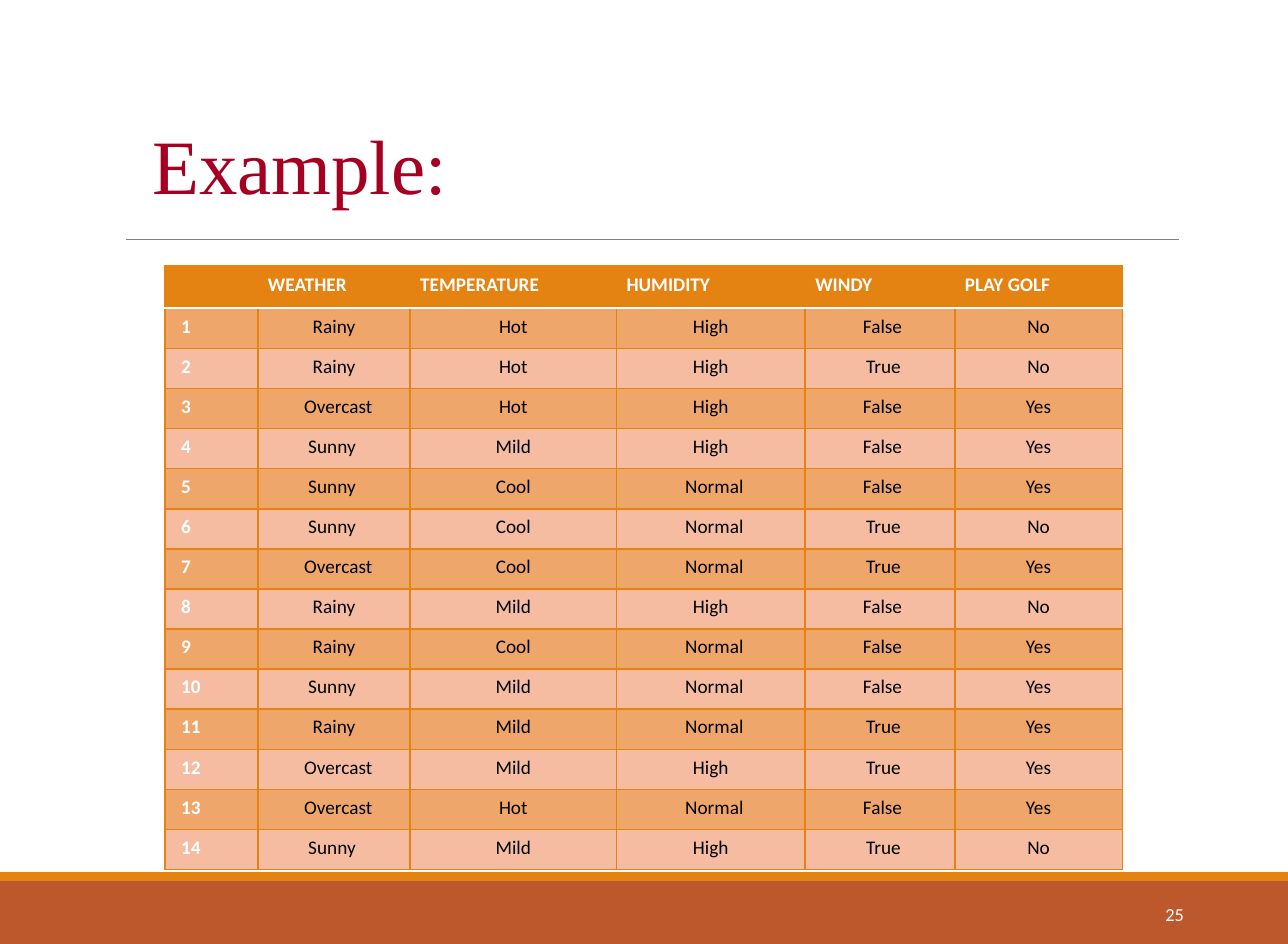
"""Build the weather and golf example table slide."""
from lxml import etree
from pptx import Presentation
from pptx.dml.color import RGBColor
from pptx.enum.shapes import MSO_CONNECTOR, MSO_SHAPE
from pptx.enum.text import MSO_ANCHOR, MSO_AUTO_SIZE, PP_ALIGN
from pptx.oxml.ns import qn
from pptx.util import Inches, Pt

LEFT, CENTER, RIGHT = PP_ALIGN.LEFT, PP_ALIGN.CENTER, PP_ALIGN.RIGHT
TOP, MIDDLE, BOTTOM = MSO_ANCHOR.TOP, MSO_ANCHOR.MIDDLE, MSO_ANCHOR.BOTTOM
RECTANGLE, STRAIGHT, NO_AUTOFIT = MSO_SHAPE.RECTANGLE, MSO_CONNECTOR.STRAIGHT, MSO_AUTO_SIZE.NONE

TITLE = "Example:"
PAGE_NUMBER = "25"
HEADERS = ["", "WEATHER", "TEMPERATURE", "HUMIDITY", "WINDY", "PLAY GOLF"]
DAYS = [
    ("Rainy", "Hot", "High", "False", "No"),
    ("Rainy", "Hot", "High", "True", "No"),
    ("Overcast", "Hot", "High", "False", "Yes"),
    ("Sunny", "Mild", "High", "False", "Yes"),
    ("Sunny", "Cool", "Normal", "False", "Yes"),
    ("Sunny", "Cool", "Normal", "True", "No"),
    ("Overcast", "Cool", "Normal", "True", "Yes"),
    ("Rainy", "Mild", "High", "False", "No"),
    ("Rainy", "Cool", "Normal", "False", "Yes"),
    ("Sunny", "Mild", "Normal", "False", "Yes"),
    ("Rainy", "Mild", "Normal", "True", "Yes"),
    ("Overcast", "Mild", "High", "True", "Yes"),
    ("Overcast", "Hot", "Normal", "False", "Yes"),
    ("Sunny", "Mild", "High", "True", "No"),
]
COLORS = {
    "title": "A50021", "rule": "808080", "footer": "BD582C", "accent": "E48312",
    "odd": "EFA66A", "even": "F5BCA2", "white": "FFFFFF", "black": "000000",
}
BODY_FONT, TITLE_FONT = "Calibri", "Times New Roman"
PAGE_WIDTH, PAGE_HEIGHT = Pt(737), Pt(540)
BARS = [(7, 0.5, "footer"), (6.93, 0.07, "accent")]
COLUMN_WIDTHS = [0.74, 1.21, 1.64, 1.5, 1.19, 1.33]
TABLE_LEFT, TABLE_TOP, TABLE_HEIGHT, HEADER_HEIGHT = 1.31, 2.11, 4.8, 0.34
HEADER_TOP, CELL_TOP = 0.06, 0.05
HEADER_PLACE = (LEFT, 0.08, 0)
NUMBER_PLACE = (LEFT, 0.13, 0)
CENTER_PLACE = (CENTER, 0, 0)
WORD_PLACES = {
    "Sunny": (LEFT, 0.4, 0),
    "Overcast": (RIGHT, 0, 0.3),
    "Normal": (RIGHT, 0, 0.49),
    "False": (RIGHT, 0, 0.42),
    "True": (RIGHT, 0, 0.43),
}


def color(name):
    return RGBColor.from_string(COLORS[name])


def write(frame, text, font, size, tint, align, bold=False):
    para = frame.paragraphs[0]
    para.alignment = align
    span = para.add_run()
    span.text = text
    span.font.name = font
    span.font.size = Pt(size)
    span.font.bold = bold
    span.font.color.rgb = color(tint)


def set_frame(frame, anchor):
    frame.margin_left = frame.margin_right = frame.margin_top = frame.margin_bottom = 0
    frame.word_wrap = True
    frame.auto_size = NO_AUTOFIT
    frame.vertical_anchor = anchor


def add_border(cell, side, position, tint, points):
    line = etree.Element(qn(f"a:ln{side}"), w=str(Pt(points)))
    fill = etree.SubElement(line, qn("a:solidFill"))
    etree.SubElement(fill, qn("a:srgbClr"), val=COLORS[tint])
    cell._tc.get_or_add_tcPr().insert(position, line)


def fill_cell(cell, text, row, place, tint, bold):
    align, left, right = place
    cell.margin_left, cell.margin_right = Inches(left), Inches(right)
    cell.margin_top = cell.margin_bottom = 0
    cell.vertical_anchor = TOP
    cell.fill.solid()
    cell.fill.fore_color.rgb = color("accent" if row == 0 else "odd" if row % 2 else "even")
    for position, side in enumerate("LRTB"):
        under_header = (row, side) in ((0, "B"), (1, "T"))
        add_border(cell, side, position, "white" if under_header else "accent",
                   1.25 if under_header else 1)
    if text:
        cell.margin_top = Inches(CELL_TOP if row else HEADER_TOP)
        write(cell.text_frame, text, BODY_FONT, 11, tint, align, bold)


def add_frame(page):
    for top, height, tint in BARS:
        bar = page.shapes.add_shape(RECTANGLE, 0, Inches(top), PAGE_WIDTH, Inches(height))
        bar.shadow.inherit = False
        bar.fill.solid()
        bar.fill.fore_color.rgb = color(tint)
        bar.line.fill.background()
    rule = page.shapes.add_connector(STRAIGHT, Inches(1), Inches(1.9), Inches(9.37), Inches(1.9))
    rule.line.color.rgb = color("rule")
    rule.line.width = Pt(0.5)
    etree.SubElement(rule._element.spPr, qn("a:effectLst"))


def add_texts(page):
    title = page.shapes.title
    title.left, title.top = Inches(1.2), Inches(0.92)
    title.width, title.height = Inches(3.28), Inches(0.75)
    set_frame(title.text_frame, BOTTOM)
    title.text_frame.margin_left = Inches(0.01)
    write(title.text_frame, TITLE, TITLE_FONT, 44, "title", LEFT)
    number = page.shapes.add_textbox(Inches(8.31), Inches(7.06), Inches(1.1), Inches(0.4))
    set_frame(number.text_frame, MIDDLE)
    write(number.text_frame, PAGE_NUMBER, BODY_FONT, 10.5, "white", RIGHT)


def add_days(page):
    table = page.shapes.add_table(
        len(DAYS) + 1, len(HEADERS), Inches(TABLE_LEFT), Inches(TABLE_TOP),
        Inches(sum(COLUMN_WIDTHS)), Inches(TABLE_HEIGHT)).table
    for column, width in zip(table.columns, COLUMN_WIDTHS):
        column.width = Inches(width)
    for row in table.rows:
        row.height = Inches((TABLE_HEIGHT - HEADER_HEIGHT) / len(DAYS))
    table.rows[0].height = Inches(HEADER_HEIGHT)
    for index, text in enumerate(HEADERS):
        fill_cell(table.cell(0, index), text, 0, HEADER_PLACE, "white", True)
    for row, day in enumerate(DAYS, 1):
        fill_cell(table.cell(row, 0), str(row), row, NUMBER_PLACE, "white", True)
        for index, word in enumerate(day, 1):
            place = WORD_PLACES.get(word, CENTER_PLACE)
            fill_cell(table.cell(row, index), word, row, place, "black", False)


def main():
    deck = Presentation()
    deck.slide_width, deck.slide_height = PAGE_WIDTH, PAGE_HEIGHT
    page = deck.slides.add_slide(deck.slide_layouts[5])
    add_frame(page)
    add_texts(page)
    add_days(page)
    deck.save("out.pptx")


if __name__ == "__main__":
    main()
